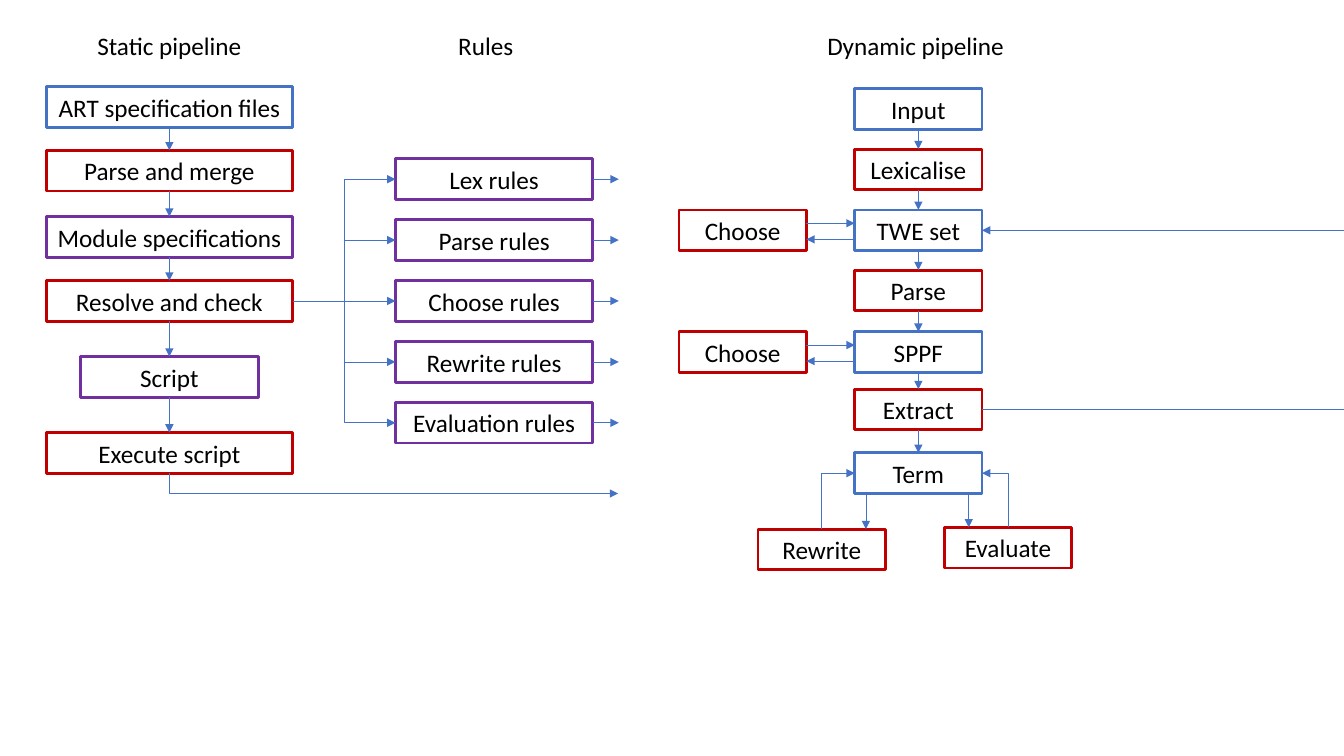
from dataclasses import dataclass

from lxml import etree
from pptx import Presentation
from pptx import util as u
from pptx.dml.color import RGBColor
from pptx.enum import shapes, text
from pptx.oxml import ns


@dataclass(frozen=True)
class Theme:
    font: str = "Calibri"
    size: float = 18
    ink: str = "000000"
    paper: str = "FFFFFF"
    data: str = "4472C4"
    process: str = "C00000"
    specification: str = "7030A0"
    arrow: str = "4472C4"
    box_line: float = 2
    arrow_line: float = 0.5


THEME = Theme()
SLIDE_WIDTH, SLIDE_HEIGHT = 960, 540
BOX_HEIGHT = 29
TOP, BOTTOM_SITE, LEFT, RIGHT = 0, 2, 1, 3


def write_text(shape, content, size=THEME.size, color=THEME.ink,
               align=text.PP_ALIGN.CENTER):
    frame = shape.text_frame
    frame.word_wrap = True
    frame.auto_size = text.MSO_AUTO_SIZE.SHAPE_TO_FIT_TEXT
    frame.vertical_anchor = text.MSO_ANCHOR.MIDDLE
    paragraph = frame.paragraphs[0]
    paragraph.alignment = align
    run = paragraph.add_run()
    run.text = content
    run.font.name = THEME.font
    run.font.size = u.Pt(size)
    run.font.color.rgb = RGBColor.from_string(color)


def add_box(slide, content, left, top, width, color):
    shape = slide.shapes.add_shape(
        shapes.MSO_SHAPE.RECTANGLE,
        u.Pt(left), u.Pt(top), u.Pt(width), u.Pt(BOX_HEIGHT))
    shape.shadow.inherit = False
    shape.fill.background()
    shape.line.color.rgb = RGBColor.from_string(color)
    shape.line.width = u.Pt(THEME.box_line)
    write_text(shape, content)
    return shape


def style_line(shape, arrow=True):
    shape.line.color.rgb = RGBColor.from_string(THEME.arrow)
    shape.line.width = u.Pt(THEME.arrow_line)
    if arrow:
        line = shape.line._get_or_add_ln()
        etree.SubElement(line, ns.qn("a:tailEnd"), type="triangle")


def add_arrow(slide, start=(0, 0), end=(0, 0), begin=None, finish=None,
              kind=shapes.MSO_CONNECTOR.STRAIGHT, arrow=True):
    """Draw from start to end; begin and finish are (shape, site) joins."""
    connector = slide.shapes.add_connector(
        kind, *(u.Pt(value) for value in (*start, *end)))
    if begin:
        connector.begin_connect(*begin)
    if finish:
        connector.end_connect(*finish)
    style_line(connector, arrow)
    etree.SubElement(connector._element.spPr, ns.qn("a:effectLst"))


def add_corner_arrow(slide, start, end):
    """Draw an arrow that runs vertically first, then horizontally."""
    builder = slide.shapes.build_freeform(u.Pt(start[0]), u.Pt(start[1]))
    builder.add_line_segments(
        [(u.Pt(start[0]), u.Pt(end[1])), (u.Pt(end[0]), u.Pt(end[1]))],
        close=False)
    shape = builder.convert_to_shape()
    shape.shadow.inherit = False
    shape.fill.background()
    style_line(shape)


def add_flow(slide, steps, center):
    """Stack (label, top, width, color) boxes and join each to the next."""
    boxes = [add_box(slide, label, center - width / 2, top, width, color)
             for label, top, width, color in steps]
    for upper, lower in zip(boxes, boxes[1:]):
        add_arrow(slide, begin=(upper, BOTTOM_SITE), finish=(lower, TOP))
    return boxes


def add_static_pipeline(slide, left, top, width):
    center = left + width / 2
    add_box(slide, "Static pipeline", center - 63.5, top, 127, THEME.paper)
    script_top, execute_top = top + 236.8, top + 291
    steps = [
        ("ART specification files", top + 44, width, THEME.data),
        ("Parse and merge", top + 89.5, width, THEME.process),
        ("Module specifications", top + 136.8, width, THEME.specification),
        ("Resolve and check", top + 182.5, width, THEME.process),
        ("Script", script_top, 127, THEME.specification),
        ("Execute script", execute_top, width, THEME.process),
    ]
    boxes = add_flow(slide, steps, center)
    bottom = execute_top + BOX_HEIGHT
    add_corner_arrow(slide, (center, bottom), (441.5, bottom + 14.5))
    return boxes[3]


def add_rules(slide, left, top, width, resolver):
    """Fan out from the resolver box to one box for each kind of rule."""
    add_box(slide, "Rules", left + 1, top, 127, THEME.paper)
    pitch, trunk, exit_length = 43.5, left - 37, 18.5
    labels = ["Lex rules", "Parse rules", "Choose rules", "Rewrite rules",
              "Evaluation rules"]
    for index, label in enumerate(labels):
        box_top = top + 95.5 + index * pitch
        middle = box_top + BOX_HEIGHT / 2
        box = add_box(slide, label, left, box_top, width, THEME.specification)
        if index in (0, len(labels) - 1):
            add_arrow(slide, begin=(resolver, RIGHT), finish=(box, LEFT),
                      kind=shapes.MSO_CONNECTOR.ELBOW)
        elif label == "Choose rules":
            add_arrow(slide, begin=(resolver, RIGHT), finish=(box, LEFT))
        else:
            add_arrow(slide, start=(trunk, middle), finish=(box, LEFT))
        add_arrow(slide, end=(left + width + exit_length, middle),
                  begin=(box, RIGHT))


def add_dynamic_pipeline(slide, left, top, width):
    center, right = left + width / 2, left + width
    add_box(slide, "Dynamic pipeline", center - 80.5, top, 157, THEME.paper)
    set_top, forest_top, term_top = top + 132, top + 219, top + 305.5
    steps = [
        ("Input", top + 45.4, width, THEME.data),
        ("Lexicalise", top + 88.5, width, THEME.process),
        ("TWE set", set_top, width, THEME.data),
        ("Parse", top + 175, width, THEME.process),
        ("SPPF", forest_top, width, THEME.data),
        ("Extract", top + 260, width, THEME.process),
        ("Term", term_top, width, THEME.data),
    ]
    boxes = add_flow(slide, steps, center)

    choose_left = left - 125.5
    for choose_top in (set_top, forest_top):
        add_box(slide, "Choose", choose_left, choose_top, width, THEME.process)
        middle = choose_top + BOX_HEIGHT / 2
        inner = choose_left + width
        add_arrow(slide, (inner, middle - 5), (left, middle - 5))
        add_arrow(slide, (left, middle + 6.5), (inner, middle + 6.5))

    term_bottom, term_middle = term_top + BOX_HEIGHT, term_top + BOX_HEIGHT / 2
    for label, box_left, box_top, down, side in (
            ("Rewrite", left - 69, top + 360, left + 8, left),
            ("Evaluate", left + 64, top + 358.7, right - 9.5, right)):
        add_box(slide, label, box_left, box_top, width, THEME.process)
        add_arrow(slide, (down, term_bottom), (down, box_top))
        add_corner_arrow(slide, (box_left + width / 2, box_top),
                         (side, term_middle))

    add_arrow(slide, end=(SLIDE_WIDTH, top + 260 + BOX_HEIGHT / 2),
              begin=(boxes[5], RIGHT), arrow=False)
    add_arrow(slide, start=(SLIDE_WIDTH, set_top + BOX_HEIGHT / 2),
              finish=(boxes[2], RIGHT))


def main():
    presentation = Presentation()
    presentation.slide_width = u.Pt(SLIDE_WIDTH)
    presentation.slide_height = u.Pt(SLIDE_HEIGHT)
    slide = presentation.slides.add_slide(presentation.slide_layouts[6])
    resolver = add_static_pipeline(slide, left=33, top=18, width=176)
    add_rules(slide, left=282.5, top=18, width=141, resolver=resolver)
    add_dynamic_pipeline(slide, left=610.5, top=18, width=91)
    presentation.save("out.pptx")


if __name__ == "__main__":
    main()
